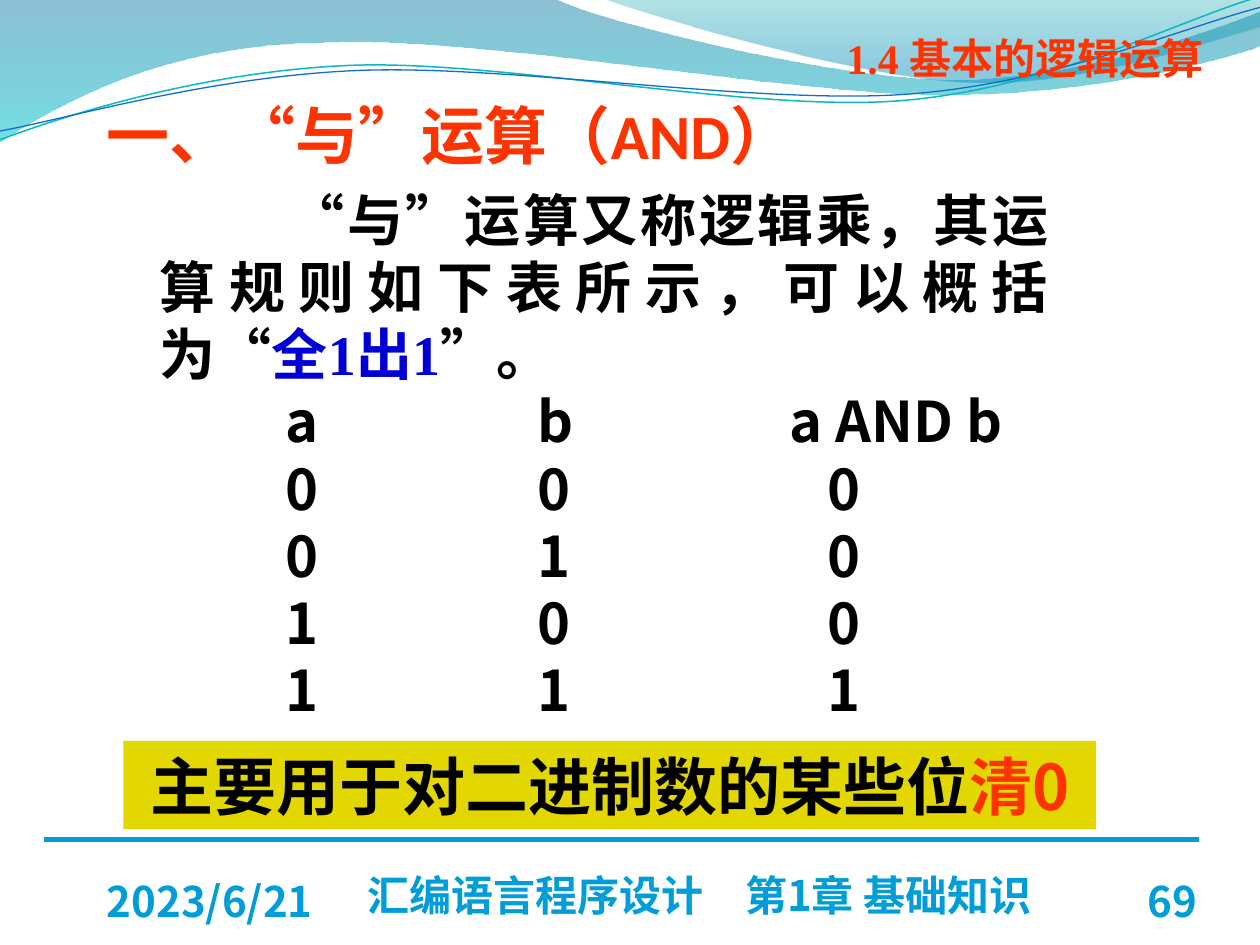
import math
from lxml import etree
from pptx import Presentation, util as u
from pptx.dml.color import RGBColor
from pptx.enum import shapes, text
from pptx.oxml.ns import qn

RED, BLUE, BLACK, CYAN, GOLD = "FF3300", "0000D6", "000000", "009DD9", "E2D700"
SANS, HAN, SERIF, HEAD = "Noto Sans CJK JP", "Noto Sans CJK SC", "Times New Roman", "Calibri"
MID, LEFT, RIGHT = text.PP_ALIGN.CENTER, text.PP_ALIGN.LEFT, text.PP_ALIGN.RIGHT
TOP, MIDDLE, BOTTOM = (text.MSO_ANCHOR.TOP, text.MSO_ANCHOR.MIDDLE,
                       text.MSO_ANCHOR.BOTTOM)
TILT = -2.7

# Each wave is a start point, then steps of one point (line) or three (curve).
# Gradient stops are position, colour, opacity.
BANDS = [
    ([(0, -.01)], [(4.4, -.01)],
     [(4.76, .17), (6.64, .63), (7.58, .63)],
     [(8.53, .63), (9.58, .26), (10, .09)], [(10.01, .36)],
     [(9.83, .44), (8.7, .76), (7.46, .75)],
     [(6.22, .75), (3.82, .28), (2.57, .34)],
     [(1.29, .35), (.46, .83), (-.01, 1.13)]),
    ([(4.79, -.01)], [(5.09, .11), (6.82, .62), (7.69, .65)],
     [(8.56, .69), (9.61, .32), (10, .21)], [(10, 0)]),
]
FADES = [[(0, "0074A1", 45), (100, "00C6CF", 55)],
         [(0, "00A1A9", 30), (80, "008BBF", 45)]]
CURVES = [
    ("0AB8BF", .85, ([(0, 1.11)], [(.48, .93), (1.58, .57), (2.77, .52)],
                     [(3.95, .47), (5.93, .89), (7.13, .8)],
                     [(8.33, .71), (9.38, .15), (9.98, -.02)])),
    ("0F6FC6", .75, ([(0, 1.04)], [(.47, .96), (1.64, .61), (2.83, .56)],
                     [(4.03, .51), (5.97, .83), (7.17, .75)],
                     [(8.36, .67), (9.41, .21), (10, .06)])),
]
RULE = [("\t“", SERIF, BLACK), ("与", HAN, BLACK), ("”", SERIF, BLACK),
        ("运算又称逻辑乘，其运算规则如下表所示，可以概括为", HAN, BLACK),
        ("“", SERIF, BLACK), ("全1出1", SERIF, BLUE),
        ("”", SERIF, BLACK), ("。", HAN, BLACK)]
TRUTH = [("a", "b", "a AND b")] + [(a, b, a & b) for a in (0, 1) for b in (0, 1)]
# box, anchor, alignment, font, size, colour, words
LABELS = [
    ((.5, 6.95, 2.33, .4), BOTTOM, MID, SANS, 24, CYAN, "2023/6/21"),
    ((8.67, 6.95, .83, .4), BOTTOM, RIGHT, SANS, 24, CYAN, "69"),
    ((2.48, 6.9, 6.14, .4), BOTTOM, MID, SANS, 24, CYAN,
     "汇编语言程序设计　第1章 基础知识"),
    ((6.5, .21, 3.27, .5), TOP, MID, SERIF, 24, RED, "1.4 基本的逻辑运算"),
    ((.75, .44, 8.5, 1.25), MIDDLE, LEFT, HEAD, 36, RED, "一、“与”运算（AND）"),
]


def rgb(code):
    return RGBColor.from_string(code)


def trace(steps, closed):
    """Draw a wave; each step of three points becomes one cubic curve."""
    dots = [(x * 1000, y * 1000) for step in steps for x, y in step]
    pen = slide.shapes.build_freeform(*dots[0], scale=u.Inches(1) / 1000)
    pen.add_line_segments(dots[1:], close=closed)
    wave = pen.convert_to_shape()
    wave.shadow.inherit = False
    lines = iter(list(wave._element.iter(qn("a:lnTo"))))
    for step in steps[1:]:
        part = [next(lines) for dot in step]
        if len(part) == 3:
            bend = etree.Element(qn("a:cubicBezTo"))
            part[0].addprevious(bend)
            for old in part:
                bend.append(old[0])
                old.getparent().remove(old)
    return wave


def level(steps):
    """Turn a tilted curve flat about its middle."""
    (x1, y1), (x2, y2) = steps[0][0], steps[-1][-1]
    cx, cy, turn = (x1 + x2) / 2, (y1 + y2) / 2, math.radians(-TILT)
    cos, sin = math.cos(turn), math.sin(turn)
    return [[(cx + (x - cx) * cos - (y - cy) * sin,
              cy + (x - cx) * sin + (y - cy) * cos) for x, y in step]
            for step in steps]


def fade(wave, stops):
    """Fill from top to bottom with see-through colours."""
    wave.line.fill.background()
    wave.fill.gradient()
    grad = wave.fill._xPr.find(qn("a:gradFill"))
    for kid in list(grad):
        grad.remove(kid)
    group = etree.SubElement(grad, qn("a:gsLst"))
    for pos, code, alpha in stops:
        stop = etree.SubElement(group, qn("a:gs"), pos=str(pos * 1000))
        tint = etree.SubElement(stop, qn("a:srgbClr"), val=code)
        etree.SubElement(tint, qn("a:alpha"), val=str(alpha * 1000))
    etree.SubElement(grad, qn("a:lin"), ang="5400000", scaled="0")


def write(para, words, face, size, code):
    run = para.add_run()
    run.text = words
    font = run.font
    font.name, font.size, font.bold = face, u.Pt(size), True
    font.color.rgb = rgb(code)
    east = SANS if face == SANS else HAN
    etree.SubElement(run._r.get_or_add_rPr(), qn("a:ea"), typeface=east)


def frame(box, anchor):
    area = slide.shapes.add_textbox(*map(u.Inches, box)).text_frame
    area.word_wrap, area.vertical_anchor = True, anchor
    return area


def stops(para, places):
    tabs = etree.SubElement(para._p.get_or_add_pPr(), qn("a:tabLst"))
    for place in places:
        etree.SubElement(tabs, qn("a:tab"), pos=str(u.Inches(place)), algn="l")


deck = Presentation()
deck.slide_width, deck.slide_height = u.Inches(10), u.Inches(7.5)
slide = deck.slides.add_slide(deck.slide_layouts[6])

for band, tints in zip(BANDS, FADES):
    fade(trace(band, True), tints)
for code, width, curve in CURVES:
    wave = trace(level(curve), False)
    wave.rotation = TILT
    wave.fill.background()
    wave.line.color.rgb, wave.line.width = rgb(code), u.Pt(width)

line = slide.shapes.add_connector(shapes.MSO_CONNECTOR.STRAIGHT,
                                  *map(u.Inches, (.35, 6.66, 9.52, 6.66)))
line.line.color.rgb, line.line.width = rgb(CYAN), u.Pt(3)
etree.SubElement(line._element.spPr, qn("a:effectLst"))

for box, anchor, align, face, size, code, words in LABELS:
    area = frame(box, anchor)
    if anchor == BOTTOM:
        area.margin_left = area.margin_right = area.margin_top = area.margin_bottom = 0
    para = area.paragraphs[0]
    para.alignment = align
    if anchor == TOP:
        para.line_spacing = u.Pt(1.2 * size)
    write(para, words, face, size, code)

body = frame((1.17, 1.42, 7.25, 4.41), TOP)
para = body.paragraphs[0]
para.alignment = text.PP_ALIGN.JUSTIFY
para.line_spacing = u.Pt(38.4)
stops(para, [1])
for words, face, code in RULE:
    write(para, words, face, 32, code)
for n, row in enumerate(TRUTH):
    para = body.add_paragraph()
    para.line_spacing = u.Pt(38.4)
    stops(para, [1, 3, 5.3 if n else 5])
    write(para, "".join(f"\t{cell}" for cell in row), HAN, 32, BLACK)

note = slide.shapes.add_shape(shapes.MSO_SHAPE.RECTANGLE,
                              *map(u.Inches, (.98, 5.88, 7.72, .7)))
note.shadow.inherit = False
note.fill.solid()
note.fill.fore_color.rgb = rgb(GOLD)
note.line.fill.background()
note.text_frame.vertical_anchor = MIDDLE
para = note.text_frame.paragraphs[0]
para.alignment = MID
for words, code in (("主要用于对二进制数的某些位", BLACK), ("清0", RED)):
    write(para, words, HAN, 36, code)

deck.save("out.pptx")
